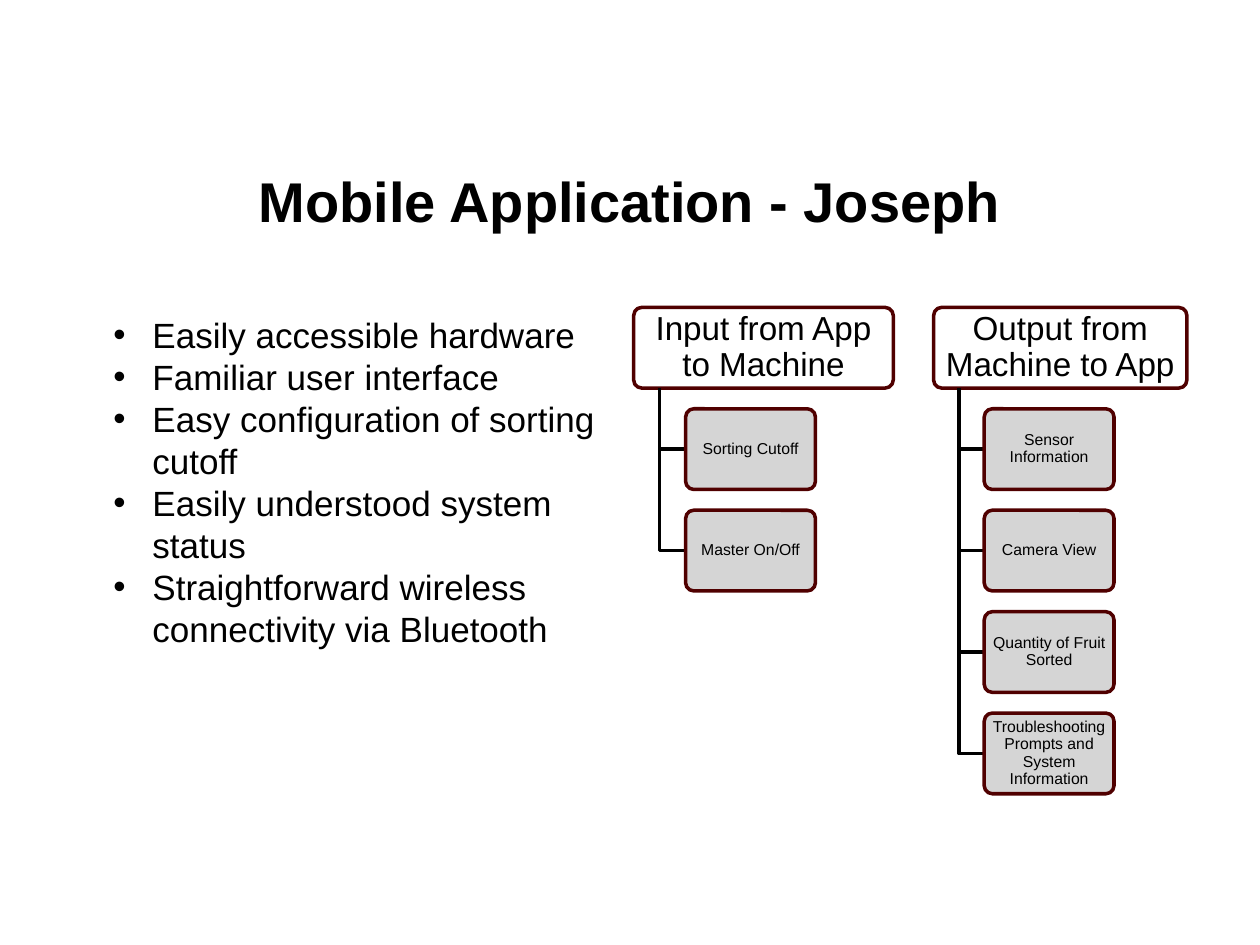
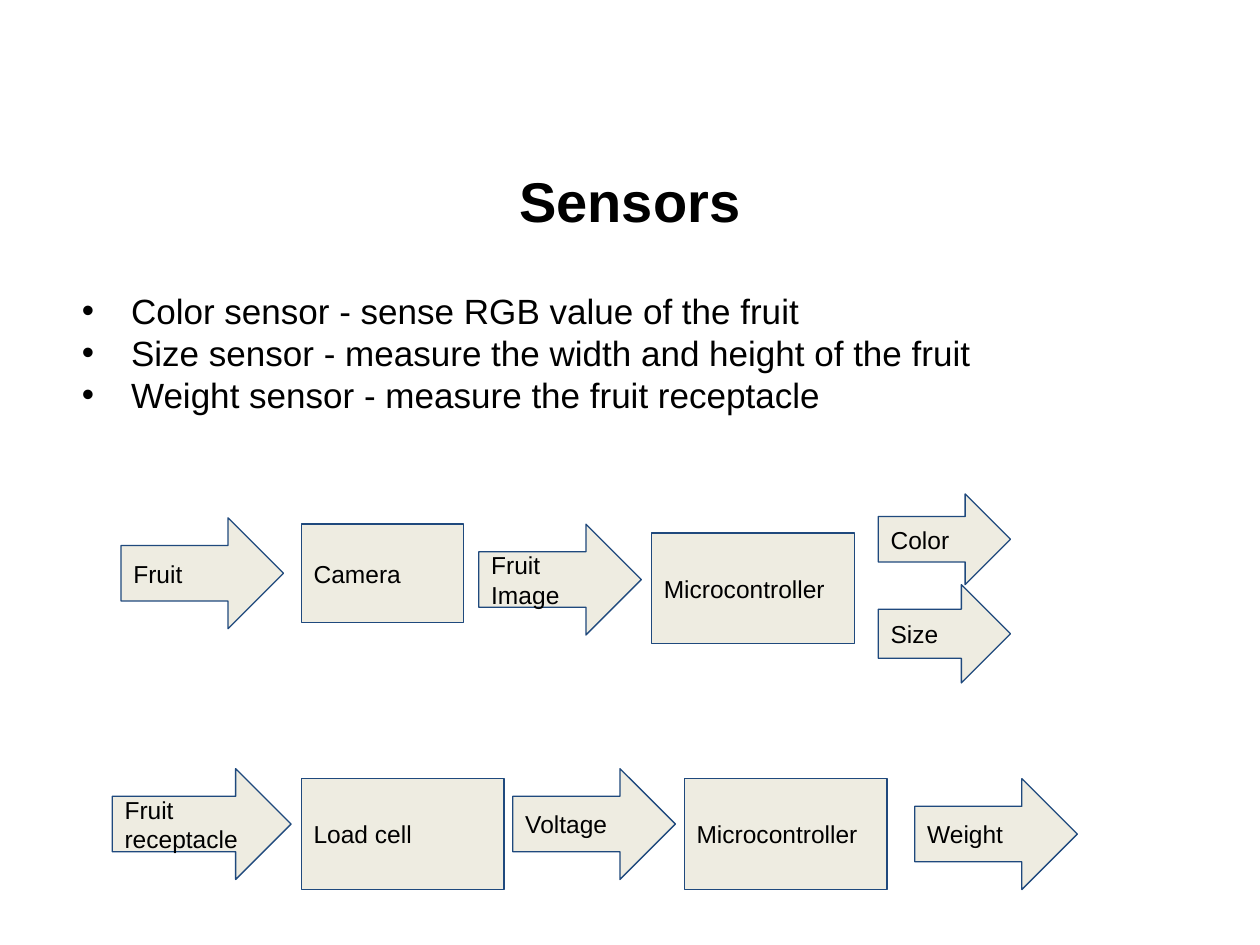
from lxml import etree
from pptx import Presentation
from pptx.dml.color import RGBColor
from pptx.enum.shapes import MSO_SHAPE as SHAPE
from pptx.enum.text import MSO_ANCHOR as ANCHOR, MSO_AUTO_SIZE as AUTO, PP_ALIGN as ALIGN
from pptx.oxml.ns import qn
from pptx.util import Inches, Pt

BLACK = RGBColor(0x00, 0x00, 0x00)
WHITE = RGBColor(0xFF, 0xFF, 0xFF)
MAROON = RGBColor(0x50, 0x00, 0x00)
GRAY = RGBColor(0xD1, 0xD1, 0xD1)
CREAM = RGBColor(0xEE, 0xEC, 0xE1)
NAVY = RGBColor(0x1F, 0x49, 0x7D)
FONT = "Arial"

APP = {
    "title": "Mobile Application - Joseph",
    "box": (0.8, 2.44, 4.2, 3.26),
    "indent": (0.31, 0.31),
    "before": 0,
    "points": [
        "Easily accessible hardware",
        "Familiar user interface",
        "Easy configuration of sorting cutoff",
        "Easily understood system status",
        "Straightforward wireless connectivity via Bluetooth",
    ],
}
SENSORS = {
    "title": "Sensors",
    "box": (0.44, 2.25, 8.54, 4.46),
    "indent": (0.5, 0.39),
    "before": 3.6,
    "points": [
        "Color sensor - sense RGB value of the fruit",
        "Size sensor - measure the width and height of the fruit",
        "Weight sensor - measure the fruit receptacle",
    ],
}
TREES = [
    (5.03, 2.06, "Input from App to Machine", ["Sorting Cutoff", "Master On/Off"]),
    (7.41, 2.01, "Output from Machine to App", [
        "Sensor Information",
        "Camera View",
        "Quantity of Fruit Sorted",
        "Troubleshooting Prompts and System Information",
    ]),
]
TREE_TOP, NODE_W, NODE_H = 2.44, 1.03, 0.64
NODE_STEP = (5.66 - TREE_TOP) / 4

ARROW, BOX = SHAPE.RIGHT_ARROW, SHAPE.RECTANGLE
FLOW_H = 0.88
FLOWS = [
    (ARROW, "Fruit", 0.96, 4.11, 1.29, FLOW_H),
    (BOX, "Camera", 2.39, 4.16, 1.29, 0.78),
    (ARROW, "Fruit Image", 3.8, 4.16, 1.29, FLOW_H),
    (BOX, "Microcontroller", 5.17, 4.23, 1.61, FLOW_H),
    (ARROW, "Color", 6.97, 3.92, 1.05, 0.72),
    (ARROW, "Size", 6.97, 4.64, 1.05, 0.78),
    (ARROW, "Fruit receptacle", 0.89, 6.1, 1.42, FLOW_H),
    (BOX, "Load cell", 2.39, 6.18, 1.61, FLOW_H),
    (ARROW, "Voltage", 4.07, 6.1, 1.29, FLOW_H),
    (BOX, "Microcontroller", 5.43, 6.18, 1.61, FLOW_H),
    (ARROW, "Weight", 7.26, 6.18, 1.29, FLOW_H),
]


def place(sp, box):
    for name, value in zip(("left", "top", "width", "height"), box):
        setattr(sp, name, Inches(value))


def set_text(sp, lines, size, align, anchor, inset, bold=False, spacing=1.0):
    tf = sp.text_frame
    dx, dy = map(Inches, inset)
    frame = {"word_wrap": True, "auto_size": AUTO.NONE, "vertical_anchor": anchor,
             "margin_left": dx, "margin_right": dx, "margin_top": dy, "margin_bottom": dy}
    for name, value in frame.items():
        setattr(tf, name, value)
    for i, line in enumerate(lines):
        p = tf.paragraphs[0] if i == 0 else tf.add_paragraph()
        p.alignment, p.line_spacing = align, spacing
        r = p.add_run()
        r.text = line
        r.font.color.rgb = BLACK
        for name, value in {"name": FONT, "size": Pt(size), "bold": bold}.items():
            setattr(r.font, name, value)
    return tf.paragraphs


def add_bullet(p, indent, before):
    p.space_before, p.space_after = Pt(before), Pt(0)
    pPr = p._p.get_or_add_pPr()
    left, hanging = map(Inches, indent)
    pPr.set("marL", str(left))
    pPr.set("indent", str(-hanging))
    clr = etree.SubElement(pPr, qn("a:buClr"))
    etree.SubElement(clr, qn("a:srgbClr"), val=str(BLACK))
    etree.SubElement(pPr, qn("a:buFont"), typeface=FONT)
    etree.SubElement(pPr, qn("a:buChar"), char="•")


def add_slide(prs, content):
    s = prs.slides.add_slide(prs.slide_layouts[1])
    title, body = s.placeholders
    place(title, (0.5, 1.15, 9, 0.88))
    set_text(title, [content["title"]], 32, ALIGN.CENTER, ANCHOR.MIDDLE, (0.1, 0.05), bold=True)
    place(body, content["box"])
    paragraphs = set_text(body, content["points"], 20, ALIGN.LEFT, ANCHOR.TOP, (0.1, 0.05))
    for i, p in enumerate(paragraphs):
        add_bullet(p, content["indent"], 0 if i else content["before"])
    return s


def style(sp, fill, line, width):
    sp.shadow.inherit = False
    if fill is None:
        sp.fill.background()
    else:
        sp.fill.solid()
        sp.fill.fore_color.rgb = fill
    sp.line.color.rgb = line
    sp.line.width = Pt(width)


def add_shape(s, kind, box, fill, line, width):
    sp = s.shapes.add_shape(kind, *map(Inches, box))
    style(sp, fill, line, width)
    return sp


def add_node(s, text, box, fill, size, inset):
    sp = add_shape(s, SHAPE.ROUNDED_RECTANGLE, box, fill, MAROON, 2)
    sp.adjustments[0] = 0.1
    set_text(sp, [text], size, ALIGN.CENTER, ANCHOR.MIDDLE, inset, spacing=0.9)
    return sp


def add_branch(s, x, top, end_x, end_y):
    fb = s.shapes.build_freeform(Inches(x), Inches(top))
    fb.add_line_segments([(Inches(x), Inches(end_y)), (Inches(end_x), Inches(end_y))], close=False)
    style(fb.convert_to_shape(), None, BLACK, 2)


def add_tree(s, left, width, root, leaves):
    add_node(s, root, (left, TREE_TOP, width, NODE_H), WHITE, 19, (0.04, 0.03))
    trunk_x, leaf_x = left + 0.1 * width, left + 0.2 * width
    for i, leaf in enumerate(leaves, 1):
        top = TREE_TOP + i * NODE_STEP
        add_branch(s, trunk_x, TREE_TOP + NODE_H, leaf_x, top + NODE_H / 2)
        sp = add_node(s, leaf, (leaf_x, top, NODE_W, NODE_H), GRAY, 9, (0.02, 0.01))
        clr = sp._element.spPr.find(qn("a:solidFill"))[0]
        etree.SubElement(clr, qn("a:alpha"), val="90000")


def main():
    prs = Presentation()
    prs.slide_width, prs.slide_height = Inches(10), Inches(7.5)

    s = add_slide(prs, APP)
    for tree in TREES:
        add_tree(s, *tree)

    s = add_slide(prs, SENSORS)
    for kind, text, *box in FLOWS:
        sp = add_shape(s, kind, box, CREAM, NAVY, 0.75)
        set_text(sp, [text], 14, ALIGN.LEFT, ANCHOR.MIDDLE, (0.1, 0.1))

    prs.save("out.pptx")


if __name__ == "__main__":
    main()
